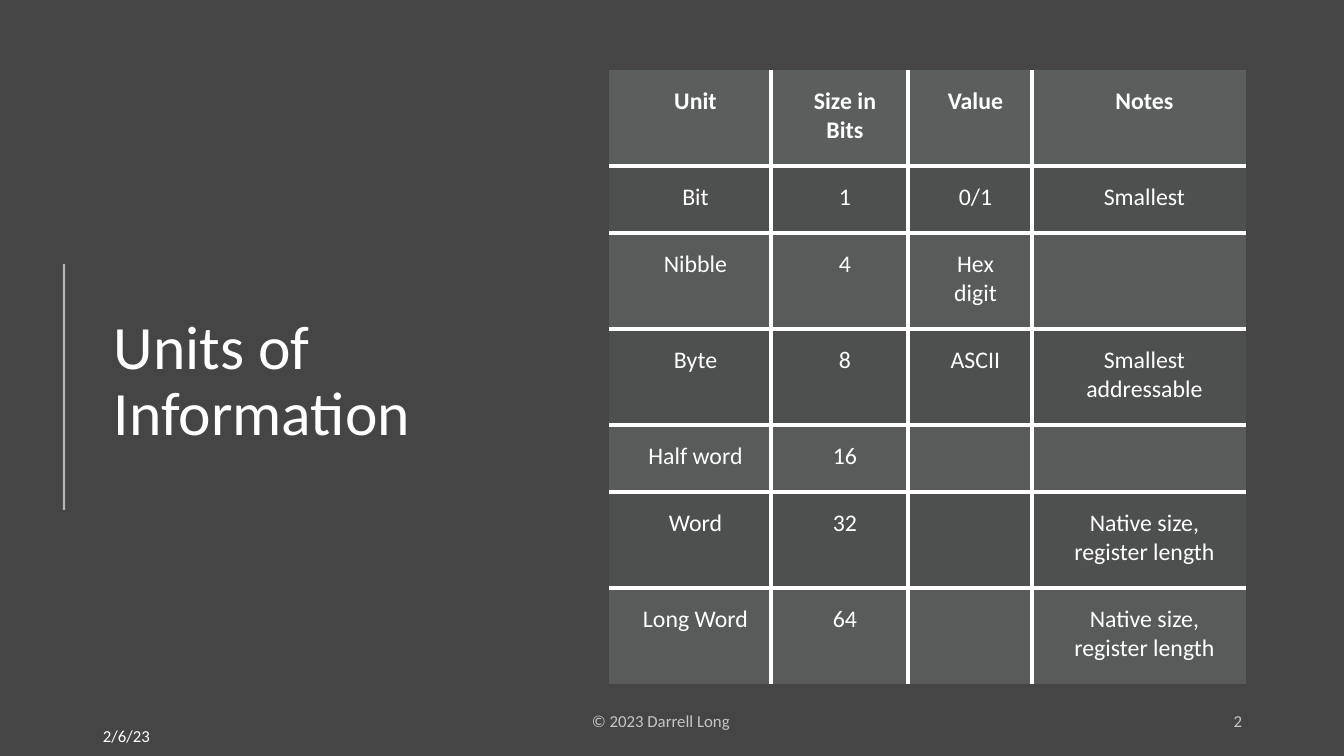
from dataclasses import dataclass
from lxml.etree import SubElement
from pptx import Presentation
from pptx.dml.color import RGBColor
from pptx.enum.shapes import MSO_CONNECTOR
from pptx.enum.text import MSO_ANCHOR, PP_ALIGN
from pptx.oxml.ns import qn
from pptx.util import Emu, Pt

HEADINGS = ("Unit", "Size in Bits", "Value", "Notes")
UNITS = [
    ("Bit", "1", "0/1", "Smallest"),
    ("Nibble", "4", "Hex digit", ""),
    ("Byte", "8", "ASCII", "Smallest addressable"),
    ("Half word", "16", "", ""),
    ("Word", "32", "", "Native size, register length"),
    ("Long Word", "64", "", "Native size, register length"),
]
COLUMN_WIDTHS = (162, 137, 124, 214)
TALL, SHORT = 96, 67
ROW_HEIGHTS = (TALL, SHORT, TALL, TALL, SHORT, TALL, TALL)
TABLE_LEFT, TABLE_TOP = 609, 70
CELL_LEFT_MARGIN, CELL_MARGIN = 28, 17


@dataclass(frozen=True)
class Theme:
    font: str = "Calibri"
    background: str = "454545"
    ink: str = "FFFFFF"
    header: str = "636B68"
    band: str = "878E8B"
    header_alpha: int = 70
    band_alphas: tuple = (15, 30)
    footer_alpha: int = 70
    rule_alpha: int = 60
    title_size: int = 44
    table_size: int = 17
    footer_size: int = 12
    rule_width: float = 1.5
    border_width: int = 3


THEME = Theme()


def px(length):
    return Emu(round(length * 914400 / 100.8))


def set_alpha(element, percent):
    color = next(element.iter(qn("a:srgbClr")))
    SubElement(color, qn("a:alpha"), val=str(percent * 1000))


def write_text(frame, text, size, bold=False, align=PP_ALIGN.LEFT, alpha=100,
               line_spacing=None, space_after=0):
    para = frame.paragraphs[0]
    para.alignment = align
    para.line_spacing = line_spacing
    para.space_after = Pt(space_after)
    span = para.add_run()
    span.text = text
    span.font.name = THEME.font
    span.font.size = Pt(size)
    span.font.bold = bold
    span.font.color.rgb = RGBColor.from_string(THEME.ink)
    if alpha < 100:
        set_alpha(span._r, alpha)


def add_text_box(page, place, text, size, **text_format):
    box = page.shapes.add_textbox(*map(px, place))
    frame = box.text_frame
    frame.word_wrap = True
    frame.vertical_anchor = MSO_ANCHOR.MIDDLE
    write_text(frame, text, size, **text_format)


def set_borders(cell, visible_sides):
    properties = cell._tc.get_or_add_tcPr()
    for position, side in enumerate("LRTB"):
        border = SubElement(properties, qn(f"a:ln{side}"), w=str(Pt(THEME.border_width)))
        if side in visible_sides:
            fill = SubElement(border, qn("a:solidFill"))
            SubElement(fill, qn("a:srgbClr"), val=THEME.ink)
        else:
            SubElement(border, qn("a:noFill"))
        properties.insert(position, border)


def add_units_table(page):
    rows = [HEADINGS, *UNITS]
    last_row, last_column = len(rows) - 1, len(HEADINGS) - 1
    table = page.shapes.add_table(
        len(rows), len(HEADINGS), px(TABLE_LEFT), px(TABLE_TOP),
        px(sum(COLUMN_WIDTHS)), px(sum(ROW_HEIGHTS))).table
    for column, width in zip(table.columns, COLUMN_WIDTHS):
        column.width = px(width)
    for row, height in zip(table.rows, ROW_HEIGHTS):
        row.height = px(height)
    for row_index, values in enumerate(rows):
        is_header = row_index == 0
        color = THEME.header if is_header else THEME.band
        alpha = THEME.header_alpha if is_header else THEME.band_alphas[(row_index - 1) % 2]
        for column_index, text in enumerate(values):
            cell = table.cell(row_index, column_index)
            cell.margin_left = px(CELL_LEFT_MARGIN)
            cell.margin_top = cell.margin_right = cell.margin_bottom = px(CELL_MARGIN)
            cell.fill.solid()
            cell.fill.fore_color.rgb = RGBColor.from_string(color)
            set_alpha(cell._tc.tcPr, alpha)
            inner_sides = {"L": column_index > 0, "R": column_index < last_column,
                           "T": row_index > 0, "B": row_index < last_row}
            set_borders(cell, [side for side, inner in inner_sides.items() if inner])
            if text:
                write_text(cell.text_frame, text, THEME.table_size,
                           bold=is_header, align=PP_ALIGN.CENTER)


def add_title_rule(page):
    rule = page.shapes.add_connector(MSO_CONNECTOR.STRAIGHT, px(64), px(264), px(64), px(510))
    rule.line.width = Pt(THEME.rule_width)
    rule.line.color.rgb = RGBColor.from_string(THEME.ink)
    properties = rule._element.spPr
    set_alpha(properties, THEME.rule_alpha)
    SubElement(properties, qn("a:effectLst"))


def main():
    deck = Presentation()
    deck.slide_width, deck.slide_height = px(1344), px(756)
    page = deck.slides.add_slide(deck.slide_layouts[6])
    page.background.fill.solid()
    page.background.fill.fore_color.rgb = RGBColor.from_string(THEME.background)

    add_text_box(page, (104, 79, 372, 607), "Units of Information",
                 THEME.title_size, line_spacing=0.9)
    add_title_rule(page)
    faded = {"alpha": THEME.footer_alpha, "space_after": 6}
    add_text_box(page, (582, 701, 317, 40), "© 2023 Darrell Long", THEME.footer_size, **faded)
    add_text_box(page, (950, 701, 302, 40), "2", THEME.footer_size,
                 align=PP_ALIGN.RIGHT, **faded)
    add_units_table(page)
    add_text_box(page, (93, 716, 147, 40), "2/6/23", THEME.footer_size)
    deck.save("out.pptx")


if __name__ == "__main__":
    main()
